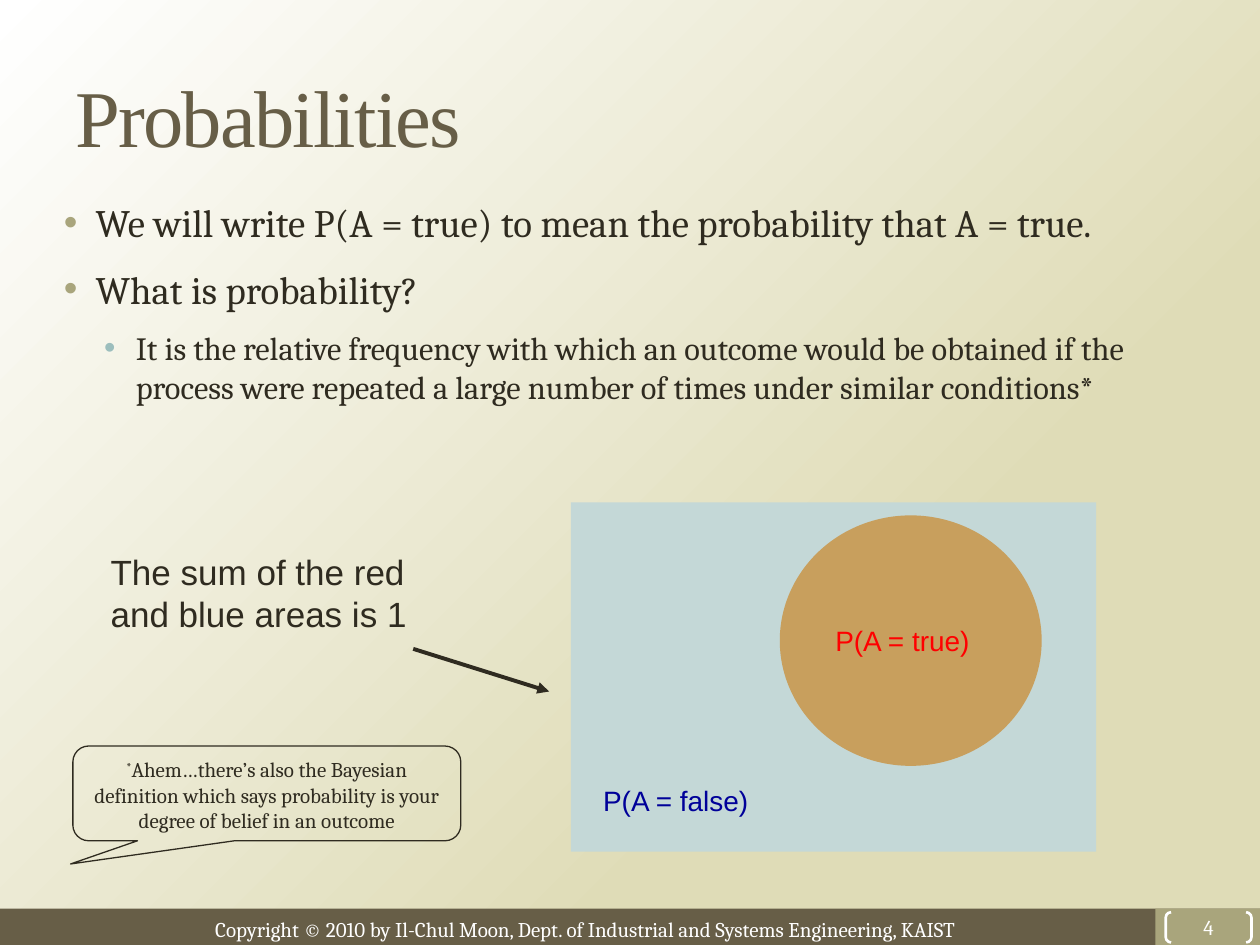
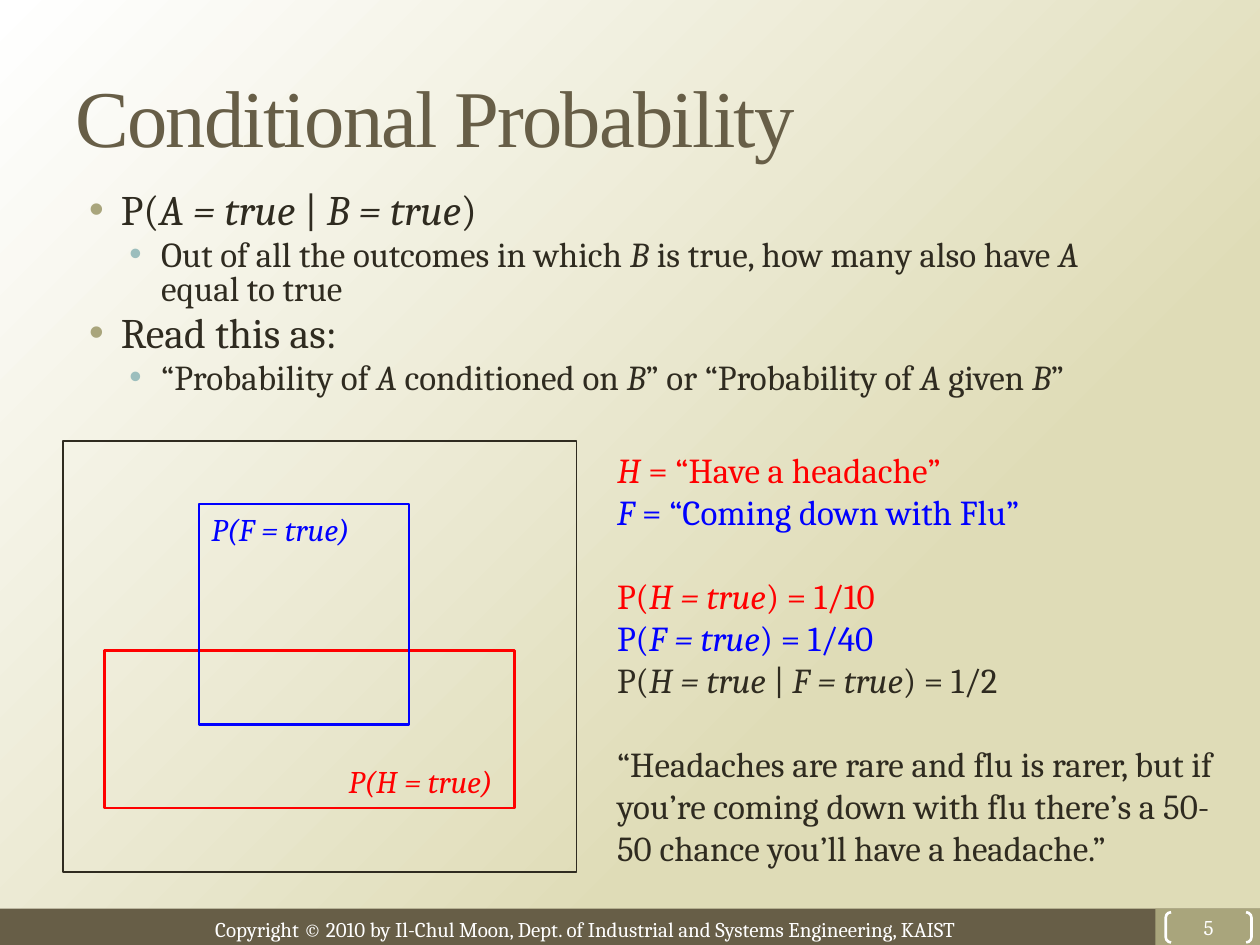
import lxml.etree
import pptx
import pptx.dml.color
import pptx.enum.shapes
import pptx.enum.text
import pptx.oxml.ns
import pptx.util

Cm, Pt = pptx.util.Cm, pptx.util.Pt
SHAPE = pptx.enum.shapes.MSO_SHAPE
ALIGN = pptx.enum.text.PP_ALIGN
ANCHOR = pptx.enum.text.MSO_ANCHOR

INK, BROWN, OLIVE, TEAL = "2F2B20", "675E47", "A9A57C", "9CBEBD"
SAND, WHITE, RED, BLUE, NAVY = "DFDCB7", "FFFFFF", "FF0000", "0000FF", "000099"
SERIF, SANS, TITLE_FONT = "Cambria", "Arial", "Times New Roman"
PAGE_WIDTH, PAGE_HEIGHT = 25.4, 19.05
BAND_TOP, TILE_LEFT = 18.32, 23.29
BAND_HEIGHT = PAGE_HEIGHT - BAND_TOP
COPYRIGHT = ("Copyright © 2010 by Il-Chul Moon, Dept. of Industrial "
             "and Systems Engineering, KAIST")
BULLETS = [{"color": OLIVE, "indent": 0.97}, {"color": TEAL, "indent": 1.78}]
HANGING = 0.64

# level, text; underscores switch italics on and off
SLIDES = [
    {
        "title": "Probabilities", "number": 4,
        "body": {
            "box": (0.71, 3.89, 23.42, 5.59), "sizes": (22.2, 18.5),
            "gaps": (11.1, 9.3), "leading": 1.0,
            "points": [
                (0, "We will write P(A = true) to mean the probability that A = true."),
                (0, "What is probability?"),
                (1, "It is the relative frequency with which an outcome would be obtained "
                    "if the process were repeated a large number of times under similar "
                    "conditions*"),
            ],
        },
        "areas": [
            {"kind": SHAPE.RECTANGLE, "box": (11.51, 10.13, 10.59, 7.04), "fill": "C4D8D7"},
            {"kind": SHAPE.OVAL, "box": (15.72, 10.39, 5.28, 5.05), "fill": "C89F5D"},
        ],
        "labels": [
            {"box": (1.98, 10.97, 7.21, 1.96), "size": 20, "font": SANS,
             "lines": [("The sum of the red and blue areas is 1", INK, 0)]},
            {"box": (11.91, 15.67, 3.48, 0.94), "size": 16, "font": SANS,
             "lines": [("P(A = false)", NAVY, 0)]},
            {"box": (16.59, 12.45, 3.61, 0.94), "size": 16, "font": SANS,
             "lines": [("P(A = true)", RED, 0)]},
        ],
        "arrow": (8.33, 13.08, 11.07, 13.94),
        "remark": {
            "box": (1.47, 15.04, 7.82, 1.91), "tail": (-0.506, 0.745, 0.167), "mark": "*",
            "text": "Ahem…there’s also the Bayesian definition which says probability "
                    "is your degree of belief in an outcome",
        },
    },
    {
        "title": "Conditional Probability", "number": 5,
        "body": {
            "box": (1.22, 3.78, 21.59, 4.65), "sizes": (24, 20),
            "gaps": (4.8, 4), "leading": 0.8,
            "points": [
                (0, "P(_A = true _| _B = true_)"),
                (1, "Out of all the outcomes in which _B_ is true, how many also have "
                    "_A_ equal to true"),
                (0, "Read this as:"),
                (1, "“Probability of _A_ conditioned on _B_” or “Probability of _A_ "
                    "given _B_”"),
            ],
        },
        "areas": [
            {"kind": SHAPE.RECTANGLE, "box": (1.27, 8.89, 10.36, 8.69), "line": (INK, 0.75)},
            {"kind": SHAPE.RECTANGLE, "box": (2.11, 13.11, 8.26, 3.18), "line": (RED, 1.5)},
            {"kind": SHAPE.RECTANGLE, "box": (4.01, 10.16, 4.24, 4.45), "line": (BLUE, 1.5)},
        ],
        "labels": [
            {"box": (4.01, 10.16, 3.61, 1.02), "size": 18, "font": SERIF,
             "lines": [("_P(F = true)_", BLUE, 0)]},
            {"box": (6.78, 15.24, 3.61, 1.02), "size": 18, "font": SERIF,
             "lines": [("_P(H = true)_", RED, 0)]},
            {"box": (12.19, 8.92, 12.7, 8.71), "size": 20, "font": SERIF,
             "lines": [
                 ("_H _= “Have a headache”", RED, 0),
                 ("_F_ = “Coming down with Flu”", BLUE, 0),
                 ("P(_H = true_) = 1/10", RED, 24),
                 ("P(_F = true_) = 1/40", BLUE, 0),
                 ("P(_H = true _| _F = true_) = 1/2", INK, 0),
                 ("“Headaches are rare and flu is rarer, but if you’re coming down with "
                  "flu there’s a 50-50 chance you’ll have a headache.”", INK, 24),
             ]},
        ],
    },
]


def rgb(value):
    return pptx.dml.color.RGBColor.from_string(value)


def apply(target, formats):
    for name, value in formats.items():
        setattr(target, name, value)


def add_xml(parent, tag, **attributes):
    return lxml.etree.SubElement(parent, pptx.oxml.ns.qn(tag), **attributes)


def write(paragraph, text, size, color, font=SERIF):
    runs = []
    for position, part in enumerate(text.split("_")):
        if part:
            run = paragraph.add_run()
            run.text = part
            apply(run.font, {"size": Pt(size), "name": font, "italic": position % 2 == 1})
            run.font.color.rgb = rgb(color)
            runs.append(run)
    return runs


def add_frame(slide, box, wrap=True, anchor=ANCHOR.TOP):
    frame = slide.shapes.add_textbox(*map(Cm, box)).text_frame
    apply(frame, {"word_wrap": wrap, "vertical_anchor": anchor})
    return frame


def paragraphs(frame, entries):
    for position, entry in enumerate(entries):
        yield (frame.add_paragraph() if position else frame.paragraphs[0]), entry


def add_area(slide, kind, box, fill=None, line=None):
    area = slide.shapes.add_shape(kind, *map(Cm, box))
    area.shadow.inherit = False
    if fill:
        area.fill.solid()
        area.fill.fore_color.rgb = rgb(fill)
    else:
        area.fill.background()
    if line:
        area.line.color.rgb = rgb(line[0])
        area.line.width = Pt(line[1])
    else:
        area.line.fill.background()
    return area


def add_base(slide, title, number):
    backdrop = slide.background.fill
    backdrop.gradient()
    backdrop.gradient_angle = 135
    for stop, (position, color) in zip(backdrop.gradient_stops, [(0.31, SAND), (1, WHITE)]):
        stop.position = position
        stop.color.rgb = rgb(color)

    add_area(slide, SHAPE.RECTANGLE, (0, BAND_TOP, PAGE_WIDTH, BAND_HEIGHT), BROWN)
    add_area(slide, SHAPE.RECTANGLE,
             (TILE_LEFT, BAND_TOP, PAGE_WIDTH - TILE_LEFT, BAND_HEIGHT), OLIVE)
    footer = add_frame(slide, (4.09, 18.36, 16.28, 0.76), wrap=False)
    write(footer.paragraphs[0], COPYRIGHT, 12, WHITE)

    heading = add_frame(slide, (1.27, 0.76, 23.42, 3.15), anchor=ANCHOR.MIDDLE)
    for run in write(heading.paragraphs[0], title, 46, BROWN, TITLE_FONT):
        run.font._element.set("spc", "-100")

    brackets = add_area(slide, SHAPE.DOUBLE_BRACKET, (23.5, 18.39, 1.73, 0.61),
                        line=(WHITE, 1.5))
    brackets.adjustments[0] = 0.179
    frame = brackets.text_frame
    apply(frame, {"vertical_anchor": ANCHOR.MIDDLE, "margin_left": 0, "margin_right": 0,
                  "margin_top": 0, "margin_bottom": 0})
    frame.paragraphs[0].alignment = ALIGN.CENTER
    write(frame.paragraphs[0], str(number), 12, WHITE)


def add_body(slide, box, sizes, gaps, leading, points):
    for paragraph, (level, text) in paragraphs(add_frame(slide, box), points):
        apply(paragraph, {"level": level, "line_spacing": leading,
                          "space_before": Pt(gaps[level])})
        properties = paragraph._p.get_or_add_pPr()
        properties.set("marL", str(Cm(BULLETS[level]["indent"])))
        properties.set("indent", str(-Cm(HANGING)))
        tint = add_xml(properties, "a:buClr")
        add_xml(tint, "a:srgbClr", val=BULLETS[level]["color"])
        add_xml(properties, "a:buFont", typeface=SANS)
        add_xml(properties, "a:buChar", char="•")
        write(paragraph, text, sizes[level], INK)


def add_label(slide, box, size, font, lines):
    for paragraph, (text, color, gap) in paragraphs(add_frame(slide, box), lines):
        paragraph.space_before = Pt(gap)
        write(paragraph, text, size, color, font)


def add_arrow(slide, ends):
    arrow = slide.shapes.add_connector(pptx.enum.shapes.MSO_CONNECTOR.STRAIGHT,
                                       *map(Cm, ends))
    arrow.line.color.rgb = rgb(INK)
    arrow.line.width = Pt(2.25)
    add_xml(arrow.line._get_or_add_ln(), "a:tailEnd", type="triangle")
    add_xml(arrow._element.spPr, "a:effectLst")


def add_remark(slide, box, tail, mark, text):
    callout = add_area(slide, SHAPE.ROUNDED_RECTANGULAR_CALLOUT, box, line=(INK, 0.75))
    for position, value in enumerate(tail):
        callout.adjustments[position] = value
    callout.text_frame.vertical_anchor = ANCHOR.TOP
    paragraph = callout.text_frame.paragraphs[0]
    paragraph.alignment = ALIGN.CENTER
    for run in write(paragraph, mark, 12, INK):
        run.font._element.set("baseline", "30000")
    write(paragraph, text, 12, INK)


deck = pptx.Presentation()
apply(deck, {"slide_width": Cm(PAGE_WIDTH), "slide_height": Cm(PAGE_HEIGHT)})
for content in SLIDES:
    slide = deck.slides.add_slide(deck.slide_layouts[6])
    add_base(slide, content["title"], content["number"])
    add_body(slide, **content["body"])
    for area in content["areas"]:
        add_area(slide, **area)
    for label in content["labels"]:
        add_label(slide, **label)
    if "arrow" in content:
        add_arrow(slide, content["arrow"])
    if "remark" in content:
        add_remark(slide, **content["remark"])
deck.save("out.pptx")
